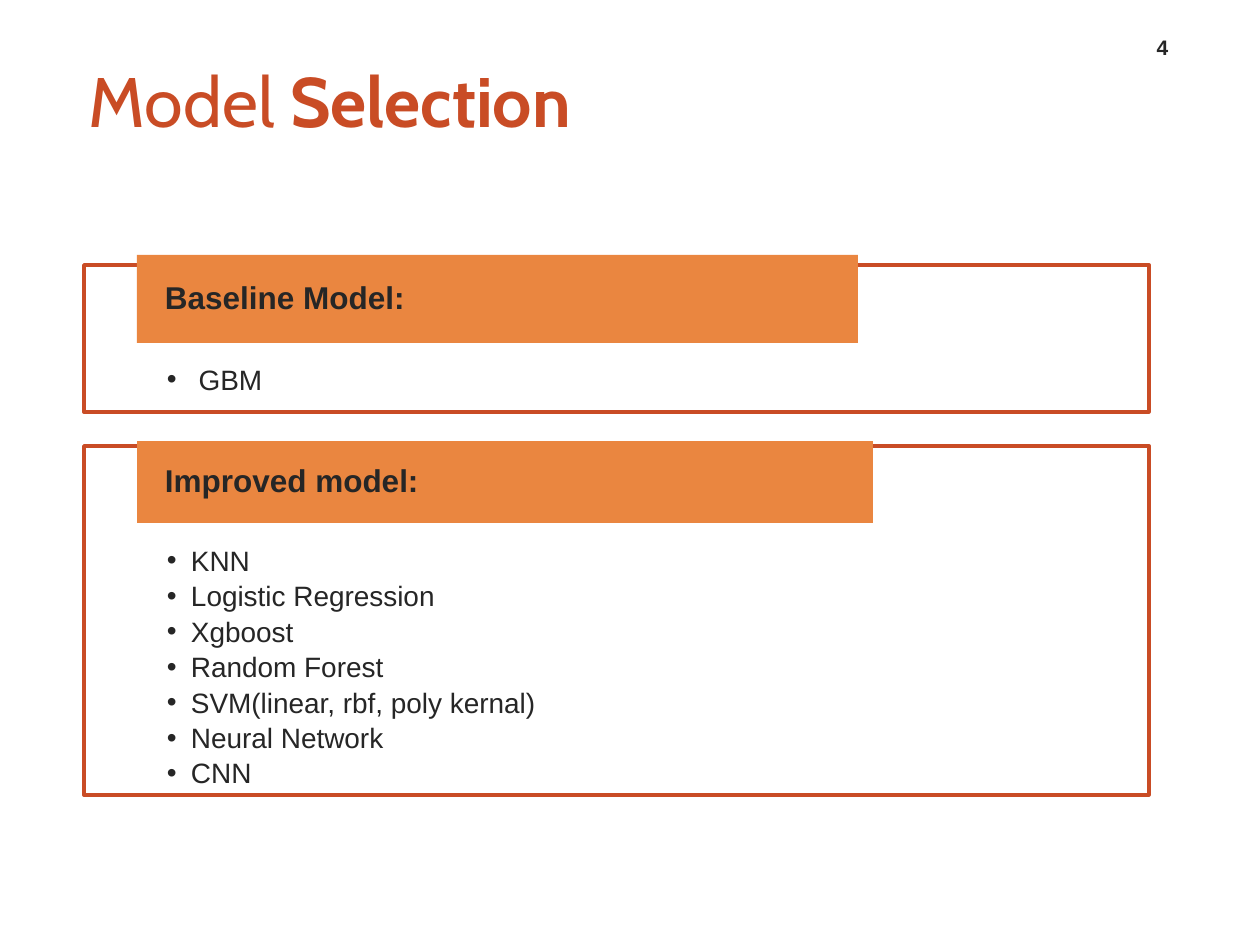
from dataclasses import dataclass

from lxml import etree
from pptx import Presentation
from pptx import util as u
from pptx.dml.color import RGBColor
from pptx.enum import shapes, text
from pptx.oxml.ns import qn

SCALE = 914400 / 126


@dataclass(frozen=True)
class Theme:
    rust: str = "C94C25"
    amber: str = "EA8640"
    ink: str = "262626"
    head: str = "Cabin"
    body: str = "Arial"
    title: int = 40
    label: int = 18
    item: int = 16
    page: int = 12
    line: int = 2


@dataclass(frozen=True)
class Box:
    left: int
    top: int
    width: int
    height: int


@dataclass(frozen=True)
class Panel:
    frame: Box
    bar: Box
    label: str
    items: tuple[str, ...]


T = Theme()
PANELS = (
    Panel(Box(84, 265, 1065, 147), Box(137, 255, 721, 88),
          "Baseline Model:", (" GBM",)),
    Panel(Box(84, 446, 1065, 349), Box(137, 441, 736, 82),
          "Improved model:",
          ("KNN", "Logistic Regression", "Xgboost", "Random Forest",
           "SVM(linear, rbf, poly kernal)", "Neural Network", "CNN")),
)


def px(n: int) -> u.Emu:
    return u.Emu(round(n * SCALE))


def place(box: Box) -> tuple[u.Emu, ...]:
    return px(box.left), px(box.top), px(box.width), px(box.height)


def write(shape, paras, *, size: int, font: str = T.body, color: str = T.ink,
          bold: bool = False, align=text.PP_ALIGN.LEFT,
          anchor=text.MSO_ANCHOR.MIDDLE, inset=(0, 0, 0, 0),
          indent: int = 0, bullet: str = "", lead: float = 1.0,
          after: int = 0) -> None:
    """Fill a shape; each paragraph is a string or a list of (text, bold)."""
    frame = shape.text_frame
    frame.word_wrap = True
    frame.vertical_anchor = anchor
    (frame.margin_left, frame.margin_top,
     frame.margin_right, frame.margin_bottom) = map(px, inset)
    for i, runs in enumerate(paras):
        para = frame.add_paragraph() if i else frame.paragraphs[0]
        para.alignment = align
        para.line_spacing = lead
        para.space_after = u.Pt(after)
        props = para._p.get_or_add_pPr()
        props.set("marL", str(px(indent)))
        if bullet:
            props.set("indent", str(-px(indent)))
            etree.SubElement(props, qn("a:buFont")).set("typeface", T.body)
            etree.SubElement(props, qn("a:buChar")).set("char", bullet)
        for words, heavy in [(runs, bold)] if isinstance(runs, str) else runs:
            run = para.add_run()
            run.text = words
            run.font.size = u.Pt(size)
            run.font.name = font
            run.font.bold = heavy
            run.font.color.rgb = RGBColor.from_string(color)


def rect(slide, box: Box, *, fill: str = "", line: str = ""):
    shape = slide.shapes.add_shape(shapes.MSO_SHAPE.RECTANGLE, *place(box))
    shape.shadow.inherit = False
    if fill:
        shape.fill.solid()
        shape.fill.fore_color.rgb = RGBColor.from_string(fill)
    else:
        shape.fill.background()
    if line:
        shape.line.color.rgb = RGBColor.from_string(line)
        shape.line.width = u.Pt(T.line)
    else:
        shape.line.fill.background()
    return shape


def draw(slide, panel: Panel) -> None:
    frame = rect(slide, panel.frame, line=T.rust)
    write(frame, panel.items, size=T.item, anchor=text.MSO_ANCHOR.TOP,
          inset=(83, 101, 83, 15), indent=24, bullet="•", lead=0.9, after=3)
    bar = rect(slide, panel.bar, fill=T.amber)
    write(bar, [panel.label], size=T.label, bold=True,
          inset=(28, 0, 28, 0), lead=0.9, after=7)


def main() -> None:
    deck = Presentation()
    deck.slide_width, deck.slide_height = u.Inches(10), u.Inches(7.5)
    slide = deck.slides.add_slide(deck.slide_layouts[6])

    title = slide.shapes.add_textbox(*place(Box(64, 53, 639, 93)))
    write(title, [[("Model", False), (" Selection", True)]], size=T.title,
          font=T.head, color=T.rust, inset=(0, 6, 0, 6), indent=25)
    page = slide.shapes.add_textbox(*place(Box(1128, 24, 69, 42)))
    write(page, ["4"], size=T.page, bold=True, align=text.PP_ALIGN.CENTER,
          anchor=text.MSO_ANCHOR.BOTTOM, inset=(13, 6, 13, 6))

    for panel in PANELS:
        draw(slide, panel)
    deck.save("out.pptx")


if __name__ == "__main__":
    main()
